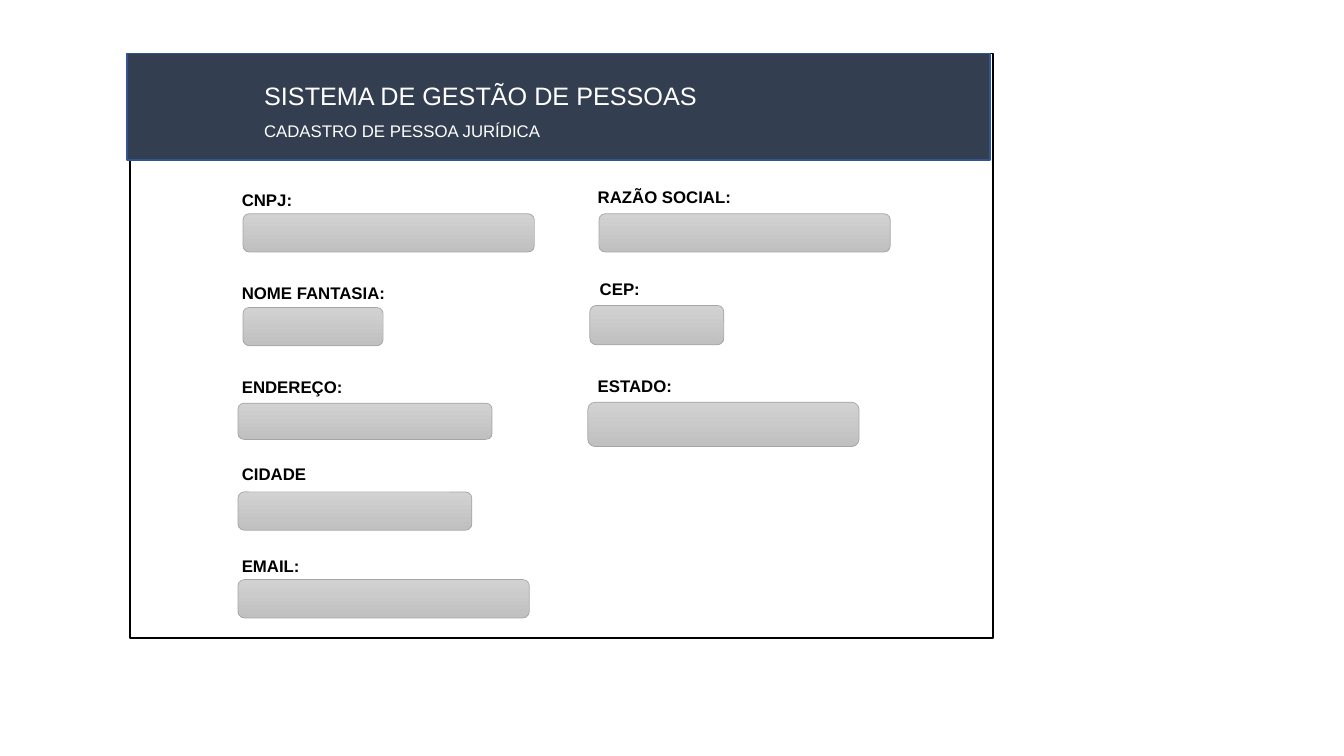
from dataclasses import dataclass

from pptx import Presentation
from pptx.dml.color import RGBColor
from pptx.enum.shapes import MSO_SHAPE
from pptx.enum.text import MSO_ANCHOR, MSO_AUTO_SIZE, PP_ALIGN
from pptx.util import Inches, Pt


@dataclass(frozen=True)
class Theme:
    font: str = "Arial"
    title_size: int = 18
    text_size: int = 12
    white: str = "FFFFFF"
    black: str = "000000"
    banner: str = "333F50"
    banner_line: str = "325491"
    field_top: str = "D2D2D2"
    field_bottom: str = "C0C0C0"
    field_line: str = "A5A5A5"


class FormSlide:
    def __init__(self, page, theme):
        self.page = page
        self.theme = theme

    def shape(self, kind, bounds, line_color, line_width):
        box = self.page.shapes.add_shape(kind, *map(Inches, bounds))
        box.shadow.inherit = False
        box.line.color.rgb = RGBColor.from_string(line_color)
        box.line.width = Pt(line_width)
        return box

    def panel(self, bounds, fill_color, line_color):
        box = self.shape(MSO_SHAPE.RECTANGLE, bounds, line_color, 1)
        box.fill.solid()
        box.fill.fore_color.rgb = RGBColor.from_string(fill_color)

    def field(self, bounds):
        box = self.shape(MSO_SHAPE.ROUNDED_RECTANGLE, bounds, self.theme.field_line, 0.5)
        box.fill.gradient()
        box.fill.gradient_angle = 270
        colors = (self.theme.field_top, self.theme.field_bottom)
        for stop, color in zip(box.fill.gradient_stops, colors):
            stop.color.rgb = RGBColor.from_string(color)

    def set_text(self, box, bounds, text, size, color, bold=False):
        box.left, box.top, box.width, box.height = map(Inches, bounds)
        frame = box.text_frame
        frame.text = text
        frame.word_wrap = True
        frame.auto_size = MSO_AUTO_SIZE.SHAPE_TO_FIT_TEXT
        frame.vertical_anchor = MSO_ANCHOR.TOP
        para = frame.paragraphs[0]
        para.alignment = PP_ALIGN.LEFT
        para.font.name = self.theme.font
        para.font.size = Pt(size)
        para.font.bold = bold
        para.font.color.rgb = RGBColor.from_string(color)

    def title(self, bounds, text):
        """Fill the title placeholder and bring it in front of the banner."""
        box = self.page.shapes.title
        box.element.getparent().append(box.element)
        self.set_text(box, bounds, text, self.theme.title_size, self.theme.white)

    def text(self, bounds, text, color, bold=False):
        box = self.page.shapes.add_textbox(*map(Inches, bounds))
        self.set_text(box, bounds, text, self.theme.text_size, color, bold)


# Label, label position and width, field bounds
FIELDS = [
    ("CNPJ:", (2.3, 1.83, 1), (2.41, 2.12, 2.89, 0.38)),
    ("RAZÃO SOCIAL:", (5.83, 1.8, 1.67), (5.94, 2.12, 2.89, 0.38)),
    ("NOME FANTASIA:", (2.3, 2.76, 2.13), (2.41, 3.05, 1.39, 0.38)),
    ("CEP:", (5.85, 2.72, 1.67), (5.85, 3.03, 1.33, 0.39)),
    ("ENDEREÇO:", (2.3, 3.69, 1.21), (2.36, 4, 2.52, 0.36)),
    ("ESTADO:", (5.83, 3.68, 1.66), (5.83, 3.99, 2.69, 0.44)),
    ("CIDADE", (2.3, 4.55, 1.66), (2.36, 4.88, 2.32, 0.38)),
    ("EMAIL:", (2.3, 5.46, 2.13), (2.36, 5.75, 2.89, 0.38)),
]
LABEL_HEIGHT = 0.3


def main():
    deck = Presentation()
    deck.slide_width, deck.slide_height = Inches(13.33), Inches(7.5)
    theme = Theme()
    form = FormSlide(deck.slides.add_slide(deck.slide_layouts[5]), theme)

    form.panel((1.29, 0.53, 8.56, 5.8), theme.white, theme.black)
    form.panel((1.26, 0.53, 8.56, 1.06), theme.banner, theme.banner_line)
    form.title((2.52, 0.75, 4.55, 0.4), "SISTEMA DE GESTÃO DE PESSOAS")
    form.text((2.52, 1.15, 4.55, 0.3), "CADASTRO DE PESSOA JURÍDICA", theme.white)

    for label, place, bounds in FIELDS:
        form.field(bounds)
        form.text((*place, LABEL_HEIGHT), label, theme.black, bold=True)

    deck.save("out.pptx")


if __name__ == "__main__":
    main()
